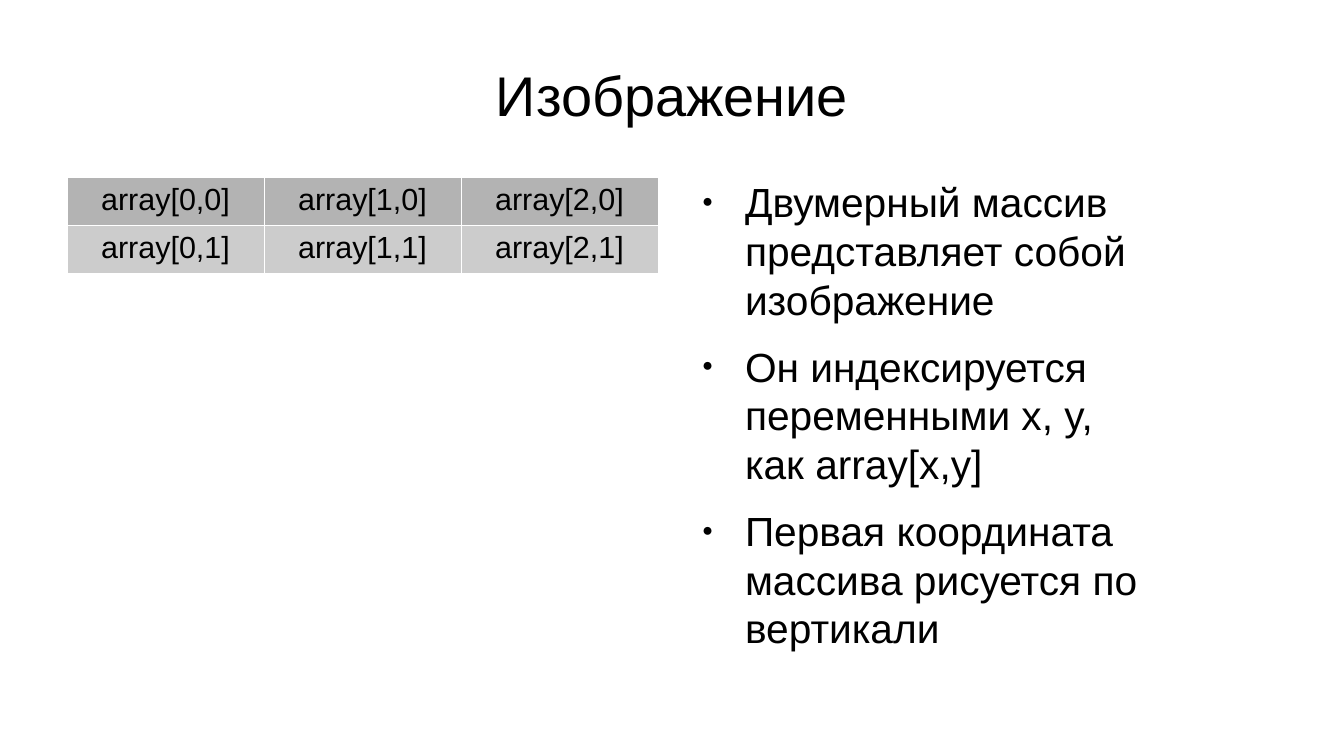
from lxml.etree import SubElement
from pptx import Presentation
from pptx.dml.color import RGBColor
from pptx.enum.text import MSO_ANCHOR, MSO_AUTO_SIZE, PP_ALIGN
from pptx.oxml.ns import qn
from pptx.util import Pt

TITLE = "Изображение"
CELLS = [
    ["array[0,0]", "array[1,0]", "array[2,0]"],
    ["array[0,1]", "array[1,1]", "array[2,1]"],
]
POINTS = [
    "Двумерный массив представляет собой изображение",
    "Он индексируется переменными x, y,\vкак array[x,y]",
    "Первая координата массива рисуется по вертикали",
]

BLACK = RGBColor(0x00, 0x00, 0x00)
WHITE = RGBColor(0xFF, 0xFF, 0xFF)
ROW_FILLS = [RGBColor(0xB3, 0xB3, 0xB3), RGBColor(0xCC, 0xCC, 0xCC)]
FONT = "Arial"

SLIDE_WIDTH, SLIDE_HEIGHT = 1344, 756
MARGIN, TITLE_TOP, TITLE_HEIGHT = 67, 31, 127
CONTENT_TOP, BODY_LEFT, BODY_WIDTH, BODY_HEIGHT = 177, 688, 590, 439
COLUMN_WIDTH, ROW_HEIGHT = 197, 48
BULLET_INDENT, BULLET_HANG = 57, 43


def px(length):
    return round(length * 914400 / 122)


def write(paragraph, text, size, align=PP_ALIGN.LEFT, after=0):
    paragraph.text = text
    paragraph.alignment = align
    paragraph.space_before = Pt(0)
    paragraph.space_after = Pt(after)
    for run in paragraph.runs:
        run.font.name = FONT
        run.font.size = Pt(size)
        run.font.bold = False
        run.font.color.rgb = BLACK


def add_bullet(paragraph):
    properties = paragraph._p.get_or_add_pPr()
    properties.set("marL", str(px(BULLET_INDENT)))
    properties.set("indent", str(-px(BULLET_HANG)))
    color = SubElement(properties, qn("a:buClr"))
    SubElement(color, qn("a:srgbClr"), val=str(BLACK))
    SubElement(properties, qn("a:buSzPct"), val="45000")
    SubElement(properties, qn("a:buChar"), char="●")


def add_borders(cell):
    properties = cell._tc.get_or_add_tcPr()
    for side in ("lnL", "lnR", "lnT", "lnB"):
        line = SubElement(properties, qn(f"a:{side}"), w=str(Pt(0.06)))
        fill = SubElement(line, qn("a:solidFill"))
        SubElement(fill, qn("a:srgbClr"), val=str(WHITE))


def place(shape, left, top, width, height, anchor):
    shape.left, shape.top = px(left), px(top)
    shape.width, shape.height = px(width), px(height)
    frame = shape.text_frame
    frame.margin_left = frame.margin_right = 0
    frame.margin_top = frame.margin_bottom = 0
    frame.word_wrap = True
    frame.auto_size = MSO_AUTO_SIZE.NONE
    frame.vertical_anchor = anchor
    return frame


def add_table(slide):
    rows, columns = len(CELLS), len(CELLS[0])
    table = slide.shapes.add_table(
        rows, columns, px(MARGIN), px(CONTENT_TOP),
        px(columns * COLUMN_WIDTH), px(rows * ROW_HEIGHT),
    ).table
    table.first_row = table.horz_banding = False
    for row, (texts, color) in enumerate(zip(CELLS, ROW_FILLS)):
        for column, text in enumerate(texts):
            cell = table.cell(row, column)
            add_borders(cell)
            cell.fill.solid()
            cell.fill.fore_color.rgb = color
            write(cell.text_frame.paragraphs[0], text, 18, PP_ALIGN.CENTER)


def main():
    presentation = Presentation()
    presentation.slide_width = px(SLIDE_WIDTH)
    presentation.slide_height = px(SLIDE_HEIGHT)
    slide = presentation.slides.add_slide(presentation.slide_layouts[1])

    title = place(slide.shapes.title, MARGIN, TITLE_TOP,
                  SLIDE_WIDTH - 2 * MARGIN, TITLE_HEIGHT, MSO_ANCHOR.MIDDLE)
    write(title.paragraphs[0], TITLE, 33, PP_ALIGN.CENTER)

    add_table(slide)

    body = place(slide.placeholders[1], BODY_LEFT, CONTENT_TOP,
                 BODY_WIDTH, BODY_HEIGHT, MSO_ANCHOR.TOP)
    for index, text in enumerate(POINTS):
        paragraph = body.add_paragraph() if index else body.paragraphs[0]
        add_bullet(paragraph)
        write(paragraph, text, 24, after=10.6)

    presentation.save("out.pptx")


if __name__ == "__main__":
    main()
